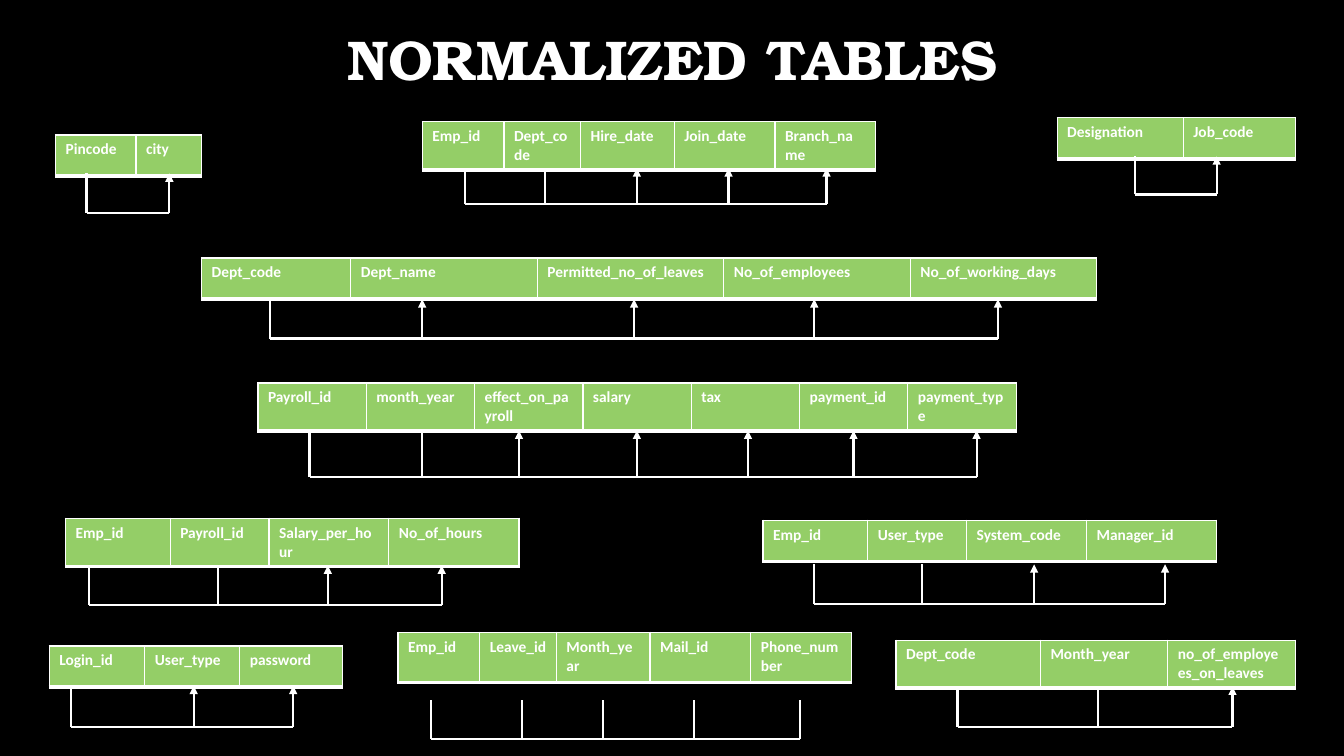
import pptx
import pptx.dml.color
import pptx.enum.shapes
import pptx.enum.text
import pptx.util
from lxml import etree
from pptx.oxml.ns import qn
from pptx.util import Cm, Pt

COLORS = {"background": "000000", "text": "FFFFFF", "line": "FFFFFF", "cell": "94CE67"}
TITLE = "NORMALIZED TABLES"
TITLE_FONT, CELL_FONT = "TeX Gyre Bonum", "Calibri"

# Column widths shared by several relations, in cm
FIVE_COLUMNS = [2.06, 1.93, 2.36, 2.54, 2.54]
FOUR_COLUMNS = [2.64, 2.49, 3.02, 3.28]

# Each relation: box = left, top, height; bracket = stem top, rail height (cm).
# The first `keys` stems are plain, the remaining ones point at dependent columns.
RELATIONS = [
    {"names": ["Pincode", "city"], "widths": [2.03, 1.65],
     "box": (1.4, 3.4, 1.04), "bracket": (4.37, 5.36),
     "stems": [2.18, 4.27], "keys": 1},
    {"names": ["Designation", "Job_code"], "widths": [3.18, 2.82],
     "box": (26.64, 2.97, 1.04), "bracket": (3.94, 4.9),
     "stems": [28.6, 30.66], "keys": 1},
    {"names": ["Dept_code", "Dept_name", "Permitted_no_of_leaves",
               "No_of_employees", "No_of_working_days"],
     "widths": [3.76] + [4.7] * 4,
     "box": (5.08, 6.5, 1.04), "bracket": (7.54, 8.53),
     "stems": [6.81, 10.64, 15.98, 20.52, 25.15], "keys": 1},
    {"names": ["Login_id", "User_type", "password"], "widths": [2.41, 2.39, 2.59],
     "box": (1.24, 16.28, 1.04), "bracket": (17.28, 18.31),
     "stems": [1.78, 4.88, 7.39], "keys": 1},
    {"names": ["Payroll_id", "month_year", "effect_on_payroll", "salary",
               "tax", "payment_id", "payment_type"],
     "widths": [2.73] * 7,
     "box": (6.5, 9.65, 1.19), "bracket": (10.85, 12.01),
     "stems": [7.8, 10.64, 13.08, 16.05, 18.85, 21.51, 24.61], "keys": 2},
    {"names": ["Dept_code", "Month_year", "no_of_employees_on_leaves"],
     "widths": [3.64, 3.21, 3.21],
     "box": (22.58, 16.13, 1.19), "bracket": (17.3, 18.31),
     "stems": [24.13, 27.66, 31.06], "keys": 2},
    {"names": ["Emp_id", "Leave_id", "Month_year", "Mail_id", "Phone_number"],
     "widths": FIVE_COLUMNS,
     "box": (10.03, 15.93, 1.27), "bracket": (17.63, 18.62),
     "stems": [10.87, 13.16, 15.19, 17.5, 20.17], "keys": 5},
    {"names": ["Emp_id", "Dept_code", "Hire_date", "Join_date", "Branch_name"],
     "widths": FIVE_COLUMNS,
     "box": (10.64, 3.07, 1.19), "bracket": (4.24, 5.13),
     "stems": [11.71, 13.74, 16.05, 18.36, 20.83], "keys": 2},
    {"names": ["Emp_id", "Payroll_id", "Salary_per_hour", "No_of_hours"],
     "widths": FOUR_COLUMNS,
     "box": (1.65, 13.06, 1.19), "bracket": (14.25, 15.24),
     "stems": [2.24, 5.49, 8.26, 11.13], "keys": 2},
    {"names": ["Emp_id", "User_type", "System_code", "Manager_id"],
     "widths": FOUR_COLUMNS,
     "box": (19.23, 13.11, 1.04), "bracket": (14.22, 15.21),
     "stems": [20.52, 23.24, 26.06, 29.36], "keys": 2},
]


def color(name):
    return pptx.dml.color.RGBColor.from_string(COLORS[name])


def style_font(paragraph, family, size):
    paragraph.font.name = family
    paragraph.font.size = Pt(size)
    paragraph.font.bold = True
    paragraph.font.color.rgb = color("text")


def add_borders(cell):
    properties = cell._tc.get_or_add_tcPr()
    for side, points in (("L", 1), ("R", 1), ("T", 1), ("B", 3)):
        border = etree.SubElement(properties, qn(f"a:ln{side}"), w=str(Pt(points)))
        fill = etree.SubElement(border, qn("a:solidFill"))
        etree.SubElement(fill, qn("a:srgbClr"), val=COLORS["line"])


def add_relation_table(slide, relation):
    left, top, height = relation["box"]
    names, widths = relation["names"], relation["widths"]
    frame = slide.shapes.add_table(1, len(names), Cm(left), Cm(top),
                                   Cm(sum(widths)), Cm(height))
    table = frame.table
    table.horz_banding = False
    for index, (name, width) in enumerate(zip(names, widths)):
        table.columns[index].width = Cm(width)
        cell = table.cell(0, index)
        add_borders(cell)
        cell.fill.solid()
        cell.fill.fore_color.rgb = color("cell")
        cell.text = name
        style_font(cell.text_frame.paragraphs[0], CELL_FONT, 11)


def add_line(slide, start, end, arrow=False):
    connector = slide.shapes.add_connector(
        pptx.enum.shapes.MSO_CONNECTOR.STRAIGHT,
        *(Cm(value) for value in start + end))
    connector.line.color.rgb = color("line")
    connector.line.width = Pt(1.5)
    if arrow:
        etree.SubElement(connector.line._get_or_add_ln(), qn("a:tailEnd"), type="triangle")
    etree.SubElement(connector._element.spPr, qn("a:effectLst"))


def add_dependency_bracket(slide, relation):
    top, rail = relation["bracket"]
    stems = relation["stems"]
    add_line(slide, (stems[0], rail), (stems[-1], rail))
    for index, x in enumerate(stems):
        add_line(slide, (x, rail), (x, top), arrow=index >= relation["keys"])


def main():
    presentation = pptx.Presentation()
    presentation.slide_width, presentation.slide_height = Cm(33.87), Cm(19.05)
    slide = presentation.slides.add_slide(presentation.slide_layouts[5])
    slide.background.fill.solid()
    slide.background.fill.fore_color.rgb = color("background")

    # Title
    title = slide.shapes.title
    title.left, title.top, title.width, title.height = Cm(2.57), Cm(-0.38), Cm(28.75), Cm(3.68)
    title.text_frame.text = TITLE
    title.text_frame.auto_size = pptx.enum.text.MSO_AUTO_SIZE.NONE
    title.text_frame.vertical_anchor = pptx.enum.text.MSO_ANCHOR.MIDDLE
    paragraph = title.text_frame.paragraphs[0]
    paragraph.alignment = pptx.enum.text.PP_ALIGN.CENTER
    style_font(paragraph, TITLE_FONT, 40)

    # Relations, then the brackets on top of them
    for relation in RELATIONS:
        add_relation_table(slide, relation)
    for relation in RELATIONS:
        add_dependency_bracket(slide, relation)

    presentation.save("out.pptx")


if __name__ == "__main__":
    main()
